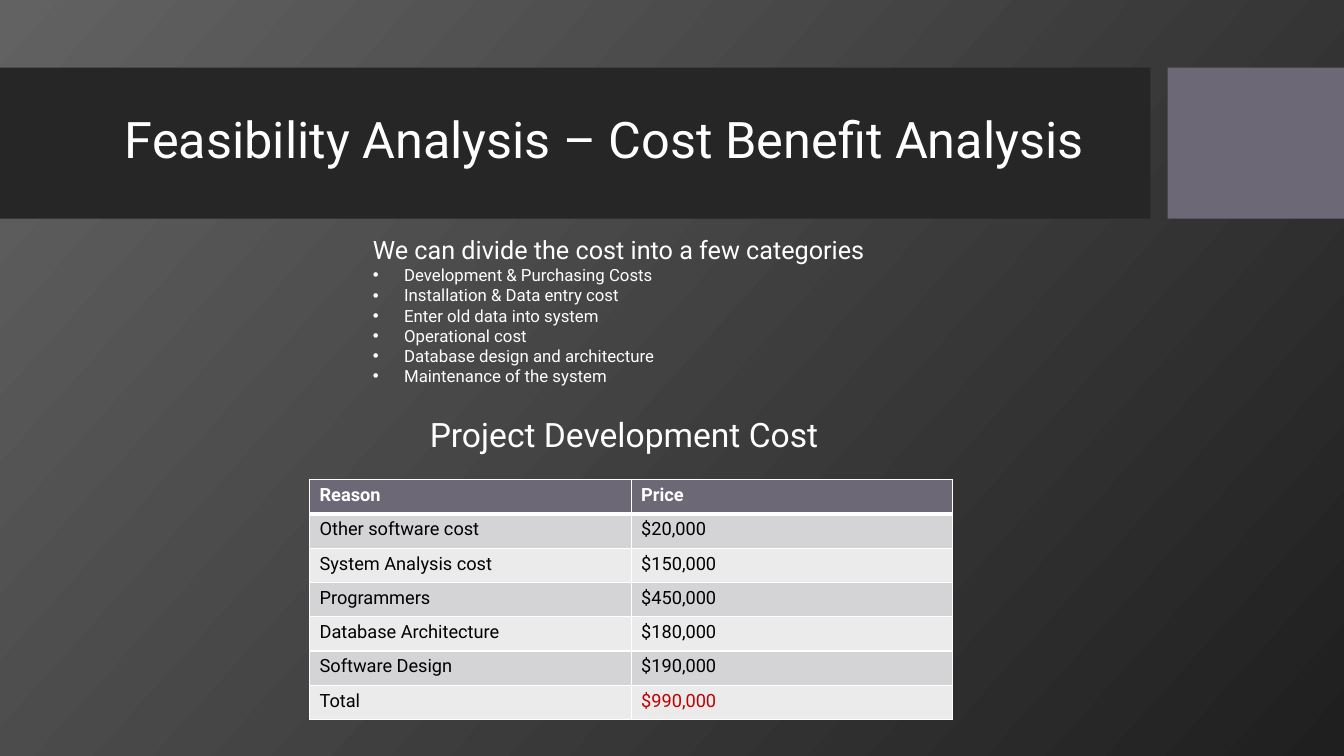
from lxml import etree
from pptx import Presentation
from pptx.dml.color import RGBColor as RGB
from pptx.enum.shapes import MSO_SHAPE as SHAPE
from pptx.enum.text import MSO_ANCHOR as ANCHOR, PP_ALIGN as ALIGN
from pptx.oxml.ns import qn
from pptx.util import Pt

PX = 9144  # EMU per px, 100 px to the inch
FONT = "Roboto"
WHITE = RGB(0xFF, 0xFF, 0xFF)
BLACK = RGB(0x00, 0x00, 0x00)
RED = RGB(0xC0, 0x00, 0x00)
BAND = RGB(0x26, 0x26, 0x26)
MAUVE = RGB(0x6D, 0x68, 0x75)
ROW_DARK = RGB(0xD4, 0xD4, 0xD6)
ROW_LIGHT = RGB(0xEB, 0xEB, 0xEC)
BG_START = RGB(0x62, 0x62, 0x62)
BG_END = RGB(0x1F, 0x1F, 0x1F)

CATEGORIES = [
    "Development & Purchasing Costs",
    "Installation & Data entry cost",
    "Enter old data into system",
    "Operational cost",
    "Database design and architecture",
    "Maintenance of the system",
]
COSTS = [
    ("Reason", "Price"),
    ("Other software cost", "$20,000"),
    ("System Analysis cost", "$150,000"),
    ("Programmers", "$450,000"),
    ("Database Architecture", "$180,000"),
    ("Software Design", "$190,000"),
    ("Total", "$990,000"),
]


def px(*values):
    return [v * PX for v in values]


def set_background(s):
    fill = s.background.fill
    fill.gradient()
    fill.gradient_angle = 360 - 42  # counter-clockwise
    for stop, color in zip(fill.gradient_stops, (BG_START, BG_END)):
        stop.color.rgb = color


def add_block(s, x, y, w, h, color):
    sp = s.shapes.add_shape(SHAPE.RECTANGLE, *px(x, y, w, h))
    sp.shadow.inherit = False
    sp.fill.solid()
    sp.fill.fore_color.rgb = color
    sp.line.fill.background()


def style(p, size, color=WHITE, bold=False):
    for r in p.runs:
        r.font.name = FONT
        r.font.size = Pt(size)
        r.font.color.rgb = color
        r.font.bold = bold


def add_text(s, x, y, w, h, text):
    tf = s.shapes.add_textbox(*px(x, y, w, h)).text_frame
    tf.word_wrap = True
    tf.text = text
    return tf


def add_heading(s, x, y, w, h, text, size, anchor):
    tf = add_text(s, x, y, w, h, text)
    tf.vertical_anchor = anchor
    p = tf.paragraphs[0]
    p.alignment = ALIGN.CENTER
    p.line_spacing = 0.9
    style(p, size)


def add_bullet_list(s, x, y, w, h, lead, items):
    tf = add_text(s, x, y, w, h, lead)
    style(tf.paragraphs[0], 18)
    for item in items:
        p = tf.add_paragraph()
        p.text = item
        style(p, 12)
        pPr = p._p.get_or_add_pPr()
        pPr.set("marL", str(31 * PX))
        pPr.set("indent", str(-31 * PX))
        etree.SubElement(pPr, qn("a:buFont")).set("typeface", "Arial")
        etree.SubElement(pPr, qn("a:buChar")).set("char", "•")


def set_borders(cell, **widths):
    tcPr = cell._tc.get_or_add_tcPr()
    for side, width in widths.items():
        ln = etree.SubElement(tcPr, qn(f"a:ln{side}"), w=str(Pt(width)))
        fill = etree.SubElement(ln, qn("a:solidFill"))
        etree.SubElement(fill, qn("a:srgbClr"), val=str(WHITE))


def add_cost_table(s, x, y, col_w, row_h, rows):
    n_rows, n_cols = len(rows), len(rows[0])
    frame = s.shapes.add_table(n_rows, n_cols, *px(x, y, col_w * n_cols, row_h * n_rows))
    for i, row in enumerate(rows):
        header = i == 0
        for j, text in enumerate(row):
            cell = frame.table.cell(i, j)
            cell.text = text
            is_total = i == n_rows - 1 and j == n_cols - 1
            color = WHITE if header else RED if is_total else BLACK
            style(cell.text_frame.paragraphs[0], 13, color, header)
            # A thick rule parts the header from the rows
            set_borders(cell, L=1, R=1, T=3 if i == 1 else 1, B=3 if header else 1)
            cell.fill.solid()
            cell.fill.fore_color.rgb = MAUVE if header else ROW_DARK if i % 2 else ROW_LIGHT


def main():
    prs = Presentation()
    prs.slide_width, prs.slide_height = px(1333, 750)
    s = prs.slides.add_slide(prs.slide_layouts[6])
    set_background(s)

    # Title band
    add_block(s, 0, 67, 1141, 150, BAND)
    add_block(s, 1158, 67, 175, 150, MAUVE)
    add_heading(s, 74, 82, 1051, 118, "Feasibility Analysis – Cost Benefit Analysis",
                36, ANCHOR.MIDDLE)

    # Cost categories
    add_bullet_list(s, 360, 228, 531, 182,
                    "We can divide the cost into a few categories", CATEGORIES)

    # Cost table
    add_heading(s, 131, 410, 976, 51, "Project Development Cost", 24, ANCHOR.TOP)
    add_cost_table(s, 307, 476, 319, 34, COSTS)

    prs.save("out.pptx")


if __name__ == "__main__":
    main()
